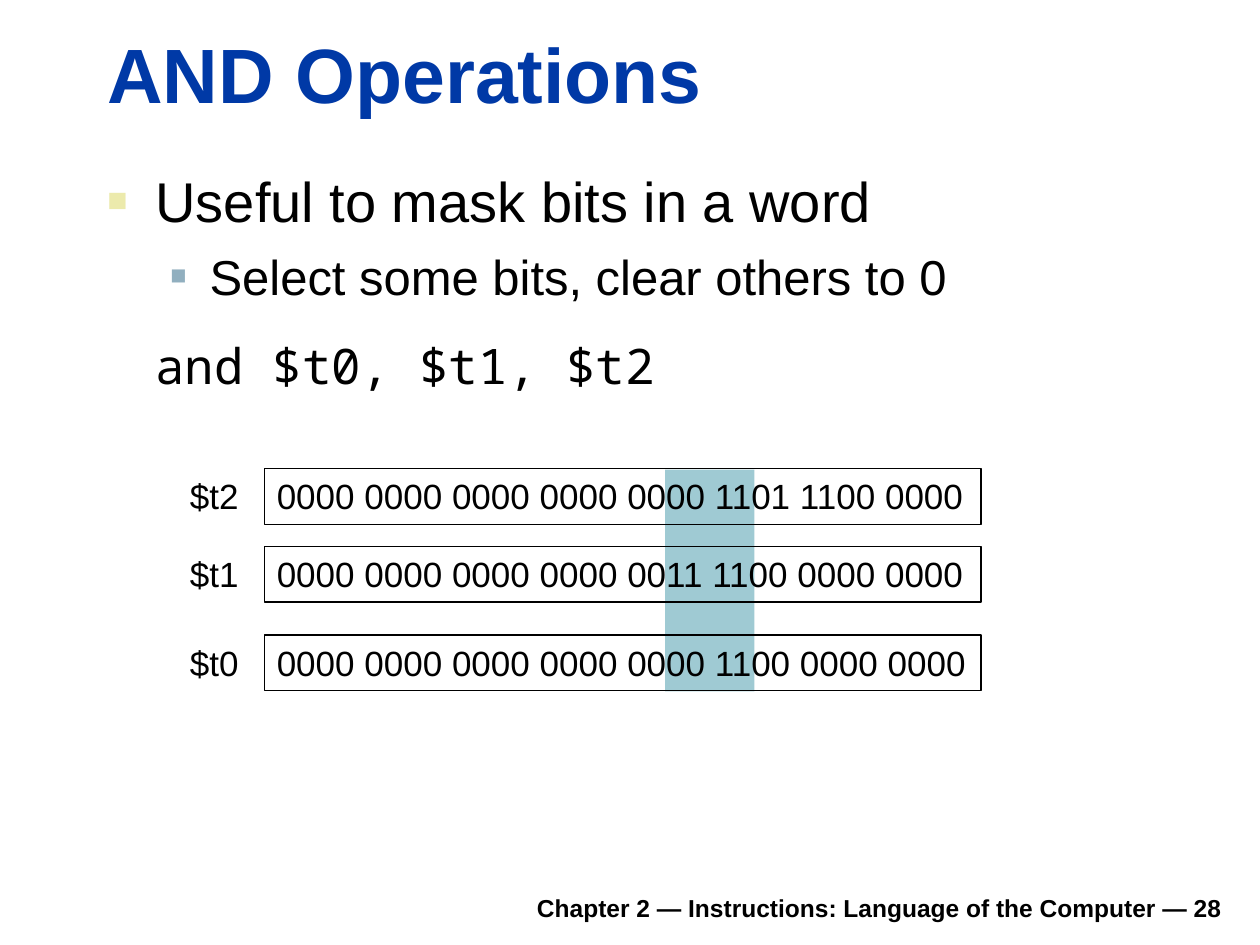
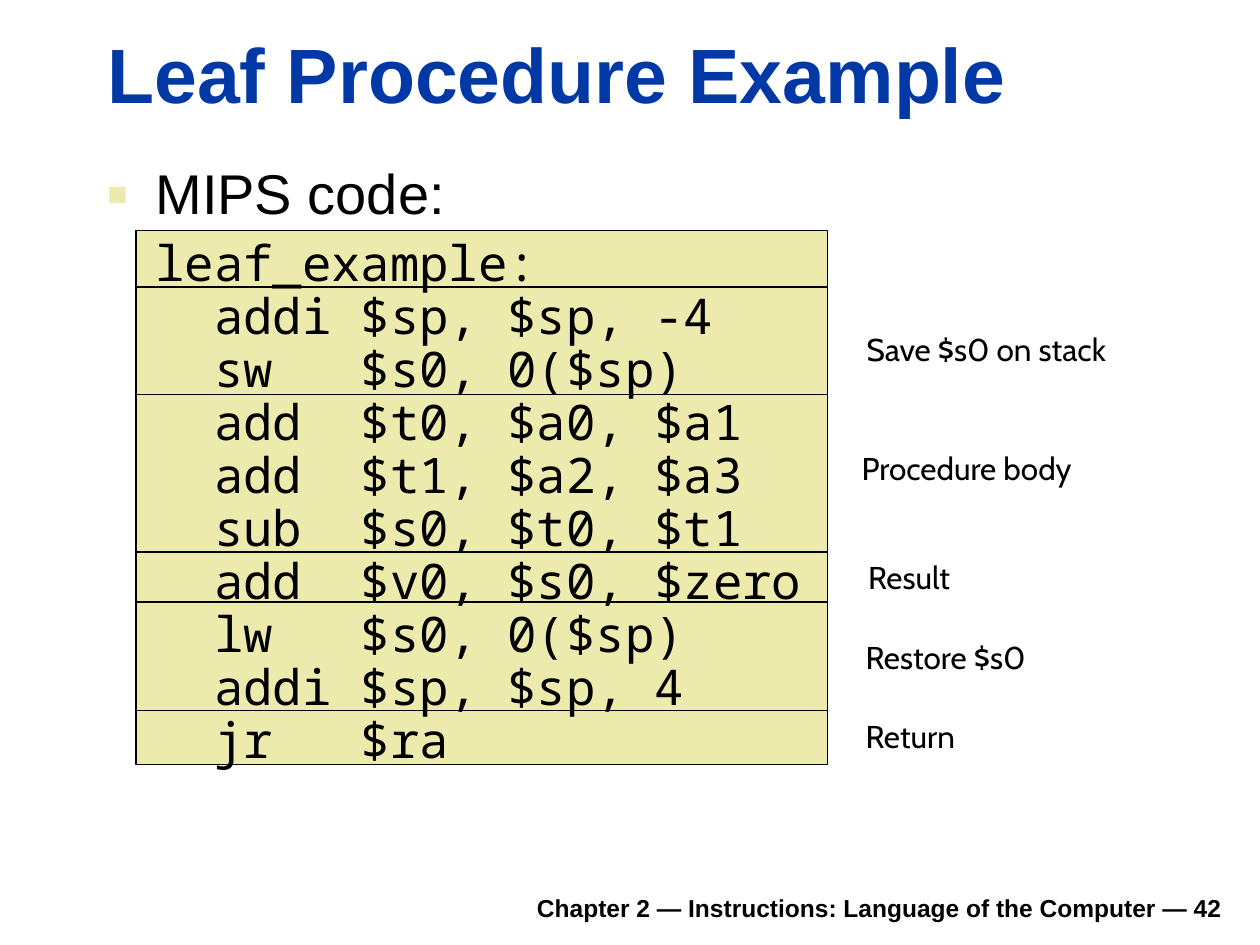
from itertools import pairwise

from lxml.etree import SubElement
from pptx import Presentation
from pptx.dml.color import RGBColor
from pptx.enum.shapes import MSO_SHAPE
from pptx.enum.text import MSO_ANCHOR, MSO_AUTO_SIZE, PP_ALIGN
from pptx.oxml.ns import qn
from pptx.util import Cm, Pt

BLACK, BLUE, CREAM, STEEL, TEAL = "000000", "0039A6", "ECEAAC", "91AFBF", "9FCAD3"
SANS, MONO, NOTE = "Arial", "Noto Sans Mono", "Cabin"
BULLETS = [(0.97, 0.97, CREAM, 60), (2.06, 0.79, STEEL, 55)]


def rgb(color):
    return RGBColor.from_string(color)


class Deck:
    """Holds the shared style and the slide being built."""

    def __init__(self):
        self.prs = Presentation()
        self.prs.slide_width, self.prs.slide_height = Cm(25.4), Cm(19.05)

    def place(self, sp, left, top, width, height):
        sp.left, sp.top, sp.width, sp.height = map(Cm, (left, top, width, height))

    def style(self, p, size, font=SANS, color=BLACK, bold=False, align=PP_ALIGN.LEFT):
        p.alignment = align
        for r in p.runs:
            r.font.size, r.font.name, r.font.bold = Pt(size), font, bold
            r.font.color.rgb = rgb(color)

    def frame(self, sp, anchor=MSO_ANCHOR.TOP):
        tf = sp.text_frame
        tf.word_wrap, tf.auto_size = True, MSO_AUTO_SIZE.NONE
        tf.vertical_anchor = anchor
        return tf

    def fill_text(self, sp, text, size, anchor=MSO_ANCHOR.TOP, **look):
        tf = self.frame(sp, anchor)
        tf.text = text
        self.style(tf.paragraphs[0], size, **look)

    def slide(self, title, number):
        self.s = self.prs.slides.add_slide(self.prs.slide_layouts[1])
        sp = self.s.shapes.title
        self.place(sp, 1.91, 0.41, 22.94, 2.11)
        self.fill_text(sp, title, 44, MSO_ANCHOR.BOTTOM, color=BLUE, bold=True)
        footer = f"Chapter 2 — Instructions: Language of the Computer — {number}"
        self.text(footer, 4.7, 17.73, 20.19, 0.99, 14, right=0.25,
                  anchor=MSO_ANCHOR.BOTTOM, bold=True, align=PP_ALIGN.RIGHT)

    def body(self, height):
        sp = self.s.placeholders[1]
        self.place(sp, 1.91, 3.23, 22.96, height)
        self.tf = self.frame(sp)

    def paragraph(self, text, size, level=0, bullet=True, before=0, after=0,
                  spacing=1.0, font=SANS):
        p = self.tf.paragraphs[0]
        if p.text:
            p = self.tf.add_paragraph()
        p.text, p.level = text, level
        margin, hang, color, percent = BULLETS[level]
        pPr = p._p.get_or_add_pPr()
        pPr.set("marL", str(Cm(margin)))
        pPr.set("indent", str(-Cm(hang) if bullet else 0))
        if bullet:
            clr = SubElement(pPr, qn("a:buClr"))
            SubElement(clr, qn("a:srgbClr"), val=color)
            SubElement(pPr, qn("a:buSzPct"), val=str(percent * 1000))
            SubElement(pPr, qn("a:buFont"), typeface=SANS)
            SubElement(pPr, qn("a:buChar"), char="■")
        else:
            SubElement(pPr, qn("a:buNone"))
        p.space_before, p.space_after = Pt(before), Pt(after)
        p.line_spacing = spacing
        self.style(p, size, font)

    def text(self, text, left, top, width, height, size, right=0, **look):
        sp = self.s.shapes.add_textbox(Cm(left), Cm(top), Cm(width), Cm(height))
        sp.text_frame.margin_right = Cm(right)
        self.fill_text(sp, text, size, **look)

    def rect(self, left, top, width, height, fill=None, line=None, text="", behind=False):
        sp = self.s.shapes.add_shape(
            MSO_SHAPE.RECTANGLE, Cm(left), Cm(top), Cm(width), Cm(height))
        sp.shadow.inherit = False
        if fill:
            sp.fill.solid()
            sp.fill.fore_color.rgb = rgb(fill)
        else:
            sp.fill.background()
        if line:
            sp.line.color.rgb, sp.line.width = rgb(line), Pt(0.75)
        else:
            sp.line.fill.background()
        if text:
            sp.text_frame.margin_right = 0
            self.fill_text(sp, text, 20)
        if behind:
            self.s.shapes.title._element.addprevious(sp._element)


def and_operations(deck):
    deck.slide("AND Operations", 28)
    deck.body(5.77)
    deck.paragraph("Useful to mask bits in a word", 32)
    deck.paragraph("Select some bits, clear others to 0", 28, level=1, before=7)
    deck.paragraph("and $t0, $t1, $t2", 28, bullet=False, before=17.5, after=10.5, font=MONO)
    deck.rect(13.41, 9.47, 1.8, 4.47, fill=TEAL, behind=True)
    registers = [
        ("$t2", "0000 0000 0000 0000 0000 1101 1100 0000", 9.45),
        ("$t1", "0000 0000 0000 0000 0011 1100 0000 0000", 11.02),
        ("$t0", "0000 0000 0000 0000 0000 1100 0000 0000", 12.8),
    ]
    for name, bits, top in registers:
        deck.rect(5.33, top, 14.45, 1.12, line=BLACK, text=bits)
        deck.text(name, 3.58, top, 1.47, 1.12, 20)


def leaf_procedure(deck):
    deck.slide("Leaf Procedure Example", 42)
    for top, bottom in pairwise([4.65, 5.79, 7.95, 11.13, 12.14, 14.33, 15.42]):
        deck.rect(2.74, top, 13.94, bottom - top, fill=CREAM, line=BLACK, behind=True)
    deck.body(14.2)
    deck.paragraph("MIPS code:", 32, spacing=0.9)
    code = [
        "leaf_example:",
        "  addi $sp, $sp, -4",
        "  sw   $s0, 0($sp)",
        "  add  $t0, $a0, $a1",
        "  add  $t1, $a2, $a3",
        "  sub  $s0, $t0, $t1",
        "  add  $v0, $s0, $zero",
        "  lw   $s0, 0($sp)",
        "  addi $sp, $sp, 4",
        "  jr   $ra",
    ]
    for i, line in enumerate(code):
        deck.paragraph(line, 28, bullet=False, before=0 if i else 7, spacing=0.9, font=MONO)
    notes = [
        ("Save $s0 on stack", 17.22, 6.53),
        ("Procedure body", 17.12, 8.92),
        ("Result", 17.25, 11.13),
        ("Restore $s0", 17.2, 12.73),
        ("Return", 17.2, 14.33),
    ]
    for note, left, top in notes:
        deck.text(note, left, top, 5.72, 1.02, 18, font=NOTE)


def main():
    deck = Deck()
    and_operations(deck)
    leaf_procedure(deck)
    deck.prs.save("out.pptx")


if __name__ == "__main__":
    main()
